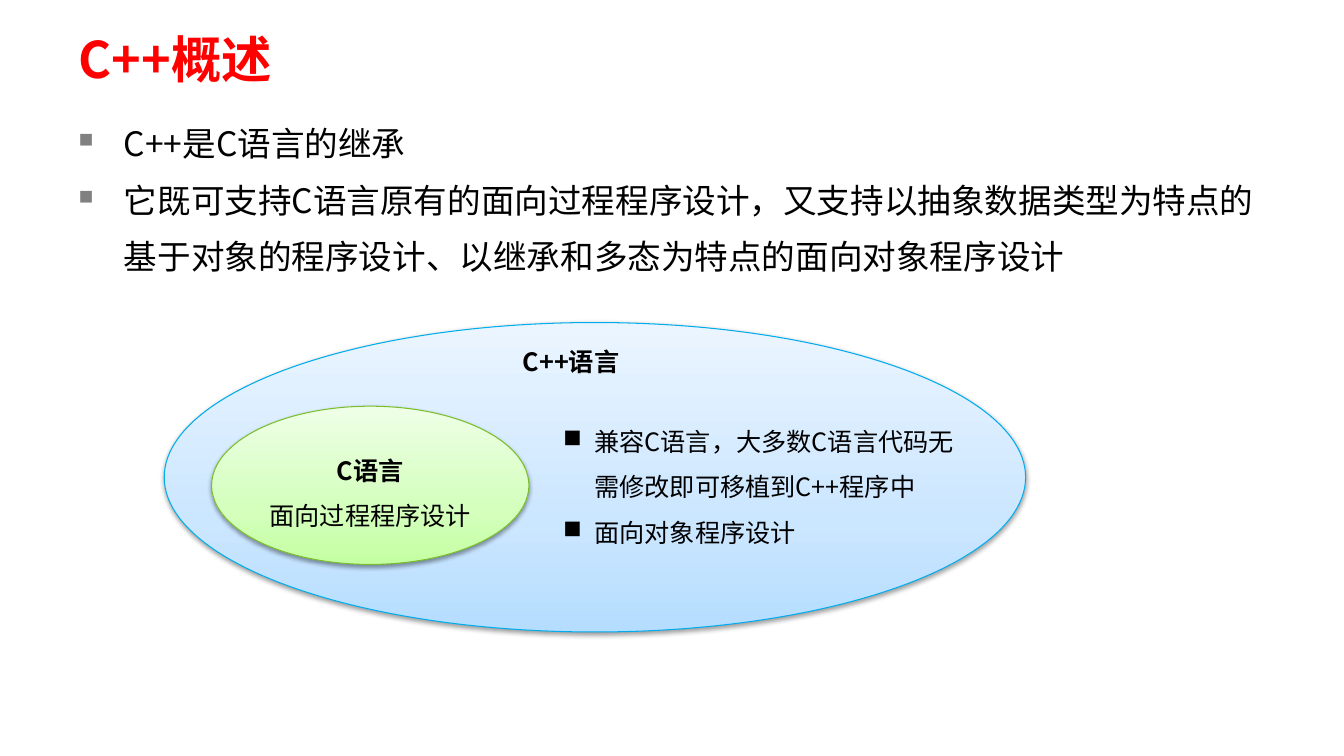
from dataclasses import dataclass

from pptx import Presentation
from pptx.dml.color import RGBColor as RGB
from pptx.enum.shapes import MSO_SHAPE as SHAPE
from pptx.enum.text import MSO_ANCHOR as ANCHOR, MSO_AUTO_SIZE as AUTO, PP_ALIGN as ALIGN
from pptx.oxml import parse_xml
from pptx.oxml.ns import nsdecls, qn
from pptx.util import Inches, Pt


@dataclass(frozen=True)
class Theme:
    font: str = "Noto Sans CJK SC"
    title_size: int = 36
    body_size: int = 24
    label_size: int = 18
    title: str = "FF0000"
    text: str = "000000"
    bullet: str = "808080"
    shadow: str = "000000"
    blue_line: str = "00ACEB"
    blue: tuple = ((0, "B5DDFF"), (35, "CBE6FF"), (100, "EBF5FF"))
    green_line: str = "79BE2E"
    green: tuple = ((0, "C4FFA2"), (35, "D4FFBD"), (100, "EEFFE6"))


class SlideBuilder:
    """Holds the theme and the current slide, and adds elements to it."""

    def __init__(self, prs, theme):
        self.theme = theme
        self.slide = prs.slides.add_slide(prs.slide_layouts[5])
        self.shapes = self.slide.shapes

    def set_attrs(self, obj, **values):
        for name, value in values.items():
            setattr(obj, name, value)

    def add_a(self, parent, xml):
        tag, _, rest = xml.partition(" ")
        parent.append(parse_xml(f"<a:{tag} {nsdecls('a')} {rest}"))

    def place(self, sp, box):
        names = ("left", "top", "width", "height")
        self.set_attrs(sp, **{n: Inches(v) for n, v in zip(names, box)})

    def fill_text(self, sp, lines, size, color=None, bold=(), align=ALIGN.LEFT,
                  spacing=1.0, indent=0, bullet=None, **frame):
        tf = sp.text_frame
        self.set_attrs(tf, **{"word_wrap": True, "auto_size": AUTO.NONE, **frame})
        for i, line in enumerate(lines):
            p = tf.paragraphs[0] if i == 0 else tf.add_paragraph()
            self.set_attrs(p, alignment=align, line_spacing=spacing,
                           space_before=Pt(0), space_after=Pt(0))
            if indent:
                pPr = p._p.get_or_add_pPr()
                pPr.set("marL", str(Inches(indent)))
                pPr.set("indent", str(-Inches(indent)))
                if bullet:
                    self.add_a(pPr, f'buClr ><a:srgbClr val="{bullet}"/></a:buClr>')
                    self.add_a(pPr, 'buSzPct val="60000"/>')
                self.add_a(pPr, 'buChar char="■"/>')
            r = p.add_run()
            r.text = line
            self.set_attrs(r.font, name=self.theme.font, size=Pt(size), bold=i in bold)
            r.font.color.rgb = RGB.from_string(color or self.theme.text)
            self.add_a(r._r.get_or_add_rPr(), f'ea typeface="{self.theme.font}"/>')

    def title(self, text, box, **fmt):
        sp = self.slide.shapes.title
        self.place(sp, box)
        self.fill_text(sp, [text], self.theme.title_size, self.theme.title, bold=(0,), **fmt)

    def group(self):
        self.shapes = self.slide.shapes.add_group_shape().shapes

    def text(self, lines, box, size, **fmt):
        sp = self.shapes.add_textbox(*map(Inches, box))
        self.fill_text(sp, lines, size, **fmt)

    def ellipse(self, box, stops, line, lines=(), **fmt):
        sp = self.shapes.add_shape(SHAPE.OVAL, *map(Inches, box))
        sp.fill.gradient()
        sp.fill.gradient_angle = 90
        spPr = sp._element.spPr
        gsLst = spPr.find(".//" + qn("a:gsLst"))
        for gs in list(gsLst):
            gsLst.remove(gs)
        for pos, color in stops:
            self.add_a(gsLst, f'gs pos="{pos * 1000}"><a:srgbClr val="{color}"/></a:gs>')
        sp.line.color.rgb = RGB.from_string(line)
        sp.line.width = Pt(0.75)
        sp.shadow.inherit = False
        self.add_a(spPr.find(qn("a:effectLst")),
                   f'outerShdw blurRad="{Pt(3.1)}" dist="{Pt(1.6)}" dir="5400000" rotWithShape="0">'
                   f'<a:srgbClr val="{self.theme.shadow}"><a:alpha val="38000"/></a:srgbClr></a:outerShdw>')
        if lines:
            self.fill_text(sp, lines, self.theme.label_size, **fmt)


def main():
    prs = Presentation()
    prs.slide_width, prs.slide_height = Inches(13.34), Inches(7.5)
    theme = Theme()
    s = SlideBuilder(prs, theme)
    insets = dict(margin_left=Inches(0.13), margin_right=Inches(0.13),
                  margin_top=Inches(0.07), margin_bottom=Inches(0.07))

    s.title("C++概述", (0.65, 0.28, 12.13, 0.59), vertical_anchor=ANCHOR.MIDDLE, **insets)
    s.text(["C++是C语言的继承",
            "它既可支持C语言原有的面向过程程序设计，又支持以抽象数据类型为特点的"
            "基于对象的程序设计、以继承和多态为特点的面向对象程序设计"],
           (0.65, 0.99, 12.13, 1.81), theme.body_size,
           spacing=1.4, indent=0.45, bullet=theme.bullet, **insets)

    s.group()
    s.ellipse((1.63, 3.2, 8.55, 3.07), theme.blue, theme.blue_line)
    s.ellipse((2.1, 4.03, 3.15, 1.57), theme.green, theme.green_line,
              ["C语言", "面向过程程序设计"], bold=(0,), align=ALIGN.CENTER,
              spacing=1.5, vertical_anchor=ANCHOR.MIDDLE)
    s.text(["C++语言"], (5.09, 3.39, 1.26, 0.4), theme.label_size, bold=(0,),
           word_wrap=False, auto_size=AUTO.SHAPE_TO_FIT_TEXT)
    s.text(["兼容C语言，大多数C语言代码无需修改即可移植到C++程序中", "面向对象程序设计"],
           (5.49, 4.03, 4.09, 1.46), theme.label_size, spacing=1.5, indent=0.31,
           auto_size=AUTO.SHAPE_TO_FIT_TEXT)
    prs.save("out.pptx")


if __name__ == "__main__":
    main()
